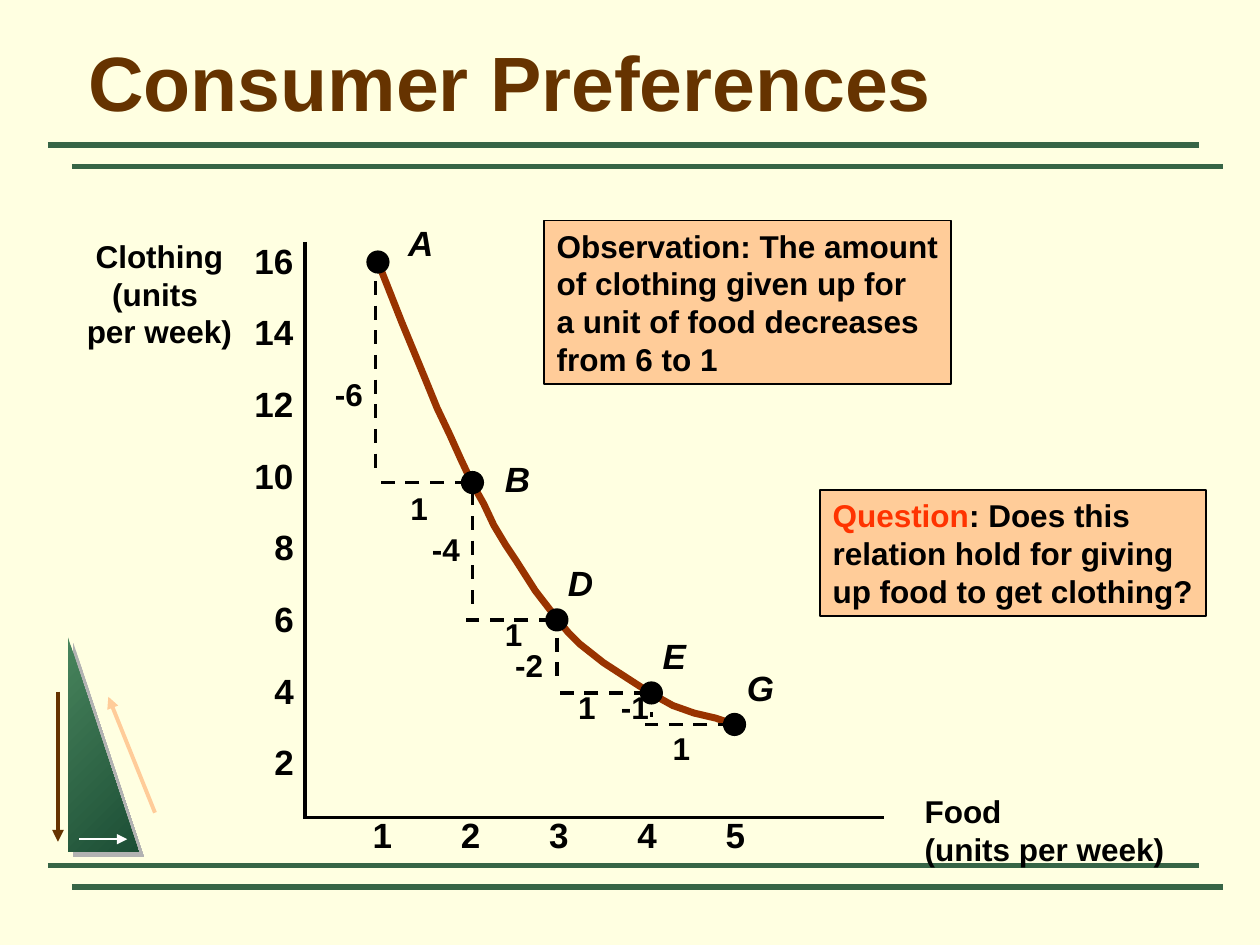
import pptx
import pptx.util
import pptx.dml.color
import pptx.enum.dml
import pptx.enum.shapes
import pptx.enum.text
import pptx.oxml
import pptx.oxml.ns

Inch, Pt = pptx.util.Inches, pptx.util.Pt
Shape = pptx.enum.shapes.MSO_SHAPE
Align = pptx.enum.text.PP_ALIGN
Fit = pptx.enum.text.MSO_AUTO_SIZE

# Content
HUES = {"paper": "FFFFE1", "rule": "376546", "title": "663300", "curve": "993300",
        "box": "FFCC99", "ask": "FF3300", "ink": "000000", "white": "FFFFFF",
        "light": "48845C", "dark": "1C4E35", "shade": "B2B2B2"}
TITLE = "Consumer Preferences"
# Basket: name, dot centre, label corner and width
DOTS = [("A", 3.0, 2.08, 3.14, 1.71, 0.4), ("B", 3.75, 3.83, 3.91, 3.58, 0.4),
        ("D", 4.42, 4.92, 4.41, 4.41, 0.4), ("E", 5.17, 5.5, 5.16, 4.99, 0.38),
        ("G", 5.83, 5.75, 5.83, 5.24, 0.41)]
CURVE = [(3, 2.08), (3.19, 2.56), (3.38, 3.02), (3.47, 3.24), (3.57, 3.45),
         (3.66, 3.65), (3.75, 3.84), (3.84, 4), (3.92, 4.17), (4.01, 4.32),
         (4.09, 4.44), (4.25, 4.69), (4.42, 4.91), (4.51, 5.02), (4.6, 5.11),
         (4.79, 5.26), (4.99, 5.39), (5.16, 5.5), (5.34, 5.6), (5.51, 5.66),
         (5.68, 5.7), (5.83, 5.75)]
# Each step: drop (x, top, end), run (y, right, left), then the two labels
STEPS = [((2.98, 2.23, 3.78), (3.83, 3.72, 3.01), ("-6", 2.56, 2.93), ("1", 3.16, 3.83)),
         ((3.75, 3.9, 4.86), (4.92, 4.39, 3.7), ("-4", 3.33, 4.16), ("1", 3.91, 4.83)),
         ((4.42, 5.06, 5.44), (5.5, 5.14, 4.41), ("-2", 3.99, 5.08), ("1", 4.49, 5.41)),
         ((5.17, 5.65, 5.69), (5.75, 5.81, 5.12), ("-1", 4.83, 5.41), ("1", 5.24, 5.74))]
NOTES = [((4.32, 1.75, 3.23, 1.3),
          ["Observation: The amount", "of clothing given up for",
           "a unit of food decreases", "from 6 to 1"]),
         ((6.51, 3.89, 3.06, 1),
          [[("Question", "ask"), (": Does this", "ink")],
           "relation hold for giving", "up food to get clothing?"])]
AXES = [((7.24, 6.24, 2.1, 0.7), ["Food", "(units per week)"], Align.LEFT),
        ((0.59, 1.83, 1.35, 1), ["Clothing", "(units ", "per week)"], Align.CENTER)]
ARROWS = [((0.46, 5.49, 0.46, 6.68), "title", 2.25),
          ((1.23, 6.45, 0.86, 5.53), "box", 2.25),
          ((0.63, 6.66, 1.01, 6.66), "white", 1.5)]

deck = pptx.Presentation()
deck.slide_width, deck.slide_height = Inch(10), Inch(7.5)
page = deck.slides.add_slide(deck.slide_layouts[5])
parts = page.shapes


def hue(name):
    return pptx.dml.color.RGBColor.from_string(HUES[name])


def write(frame, lines, size, color="ink", align=Align.LEFT, slant=None):
    for i, line in enumerate(lines):
        para = frame.paragraphs[0] if i == 0 else frame.add_paragraph()
        runs = [(line, color)] if isinstance(line, str) else line
        for text, tint in runs:
            run = para.add_run()
            run.text = text
            run.font.color.rgb = hue(tint)
        para.alignment = align
        font = para.font
        font.name, font.size, font.bold, font.italic = "Arial", Pt(size), True, slant


def label(box, lines, size, **style):
    frame = parts.add_textbox(*map(Inch, box)).text_frame
    frame.word_wrap = False
    frame.auto_size = Fit.SHAPE_TO_FIT_TEXT
    write(frame, lines, size, **style)


def solid(kind, box, fill):
    shape = parts.add_shape(kind, *map(Inch, box))
    shape.shadow.inherit = False
    shape.fill.solid()
    shape.fill.fore_color.rgb = hue(fill)
    shape.line.color.rgb = hue("ink")
    shape.line.width = Pt(1)
    return shape


def line(ends, color, width, dash=False, arrow=False):
    link = parts.add_connector(pptx.enum.shapes.MSO_CONNECTOR.STRAIGHT, *map(Inch, ends))
    link.line.color.rgb = hue(color)
    link.line.width = Pt(width)
    if dash:
        link.line.dash_style = pptx.enum.dml.MSO_LINE.DASH
    if arrow:
        stroke = link.line._get_or_add_ln()
        stroke.append(pptx.oxml.parse_xml(
            f'<a:tailEnd {pptx.oxml.ns.nsdecls("a")} type="triangle"/>'))
    link._element.spPr.append(pptx.oxml.parse_xml(
        f'<a:effectLst {pptx.oxml.ns.nsdecls("a")}/>'))


# Background, title and paired rules
page.background.fill.solid()
page.background.fill.fore_color.rgb = hue("paper")
head = parts.title
head.left, head.top, head.width, head.height = map(Inch, (0.6, 0.21, 8.73, 0.85))
head.text_frame.auto_size = Fit.NONE
head.text_frame.vertical_anchor = pptx.enum.text.MSO_ANCHOR.BOTTOM
write(head.text_frame, [TITLE], 44, "title")
for top in (1.15, 6.87):
    for left, drop in ((0.38, 0), (0.57, 0.17)):
        line((left, top + drop, left + 9.14, top + drop), "rule", 3)

# Corner triangle with its arrows
wedge = parts.add_shape(Shape.RIGHT_TRIANGLE, *map(Inch, (0.54, 5.06, 0.56, 1.7)))
wedge.line.fill.background()
wedge.fill.gradient()
wedge.fill.gradient_angle = 315
for stop, name in zip(wedge.fill.gradient_stops, ("light", "dark")):
    stop.color.rgb = hue(name)
wedge._element.spPr.append(pptx.oxml.parse_xml(
    f'<a:effectLst {pptx.oxml.ns.nsdecls("a")}>'
    f'<a:outerShdw dist="{Pt(4.2)}" dir="2700000" algn="ctr" rotWithShape="0">'
    f'<a:srgbClr val="{HUES["shade"]}"/></a:outerShdw></a:effectLst>'))
for ends, color, width in ARROWS:
    line(ends, color, width, arrow=True)

# Indifference curve
grid = [(round(x * 100), round(y * 100)) for x, y in CURVE]
pen = parts.build_freeform(*grid[0], scale=Inch(0.01))
pen.add_line_segments(grid[1:], close=False)
curve = pen.convert_to_shape()
curve.shadow.inherit = False
curve.fill.background()
curve.line.color.rgb = hue("curve")
curve.line.width = Pt(4)

# Dashed steps and their amounts
for (x, top, end), (y, right, left), *amounts in STEPS:
    line((x, top, x, end), "ink", 2, dash=True)
    line((right, y, left, y), "ink", 2, dash=True)
    for text, at, high in amounts:
        label((at, high, 0.26 + 0.08 * len(text), 0.4), [text], 18)

# Baskets
for name, x, y, left, top, wide in DOTS:
    solid(Shape.OVAL, (x - 0.085, y - 0.085, 0.17, 0.17), "ink")
    label((left, top, wide, 0.43), [name], 20, slant=True)

# Axes, scales and axis names
line((2.42, 1.92, 2.42, 6.5), "ink", 2)
line((2.43, 6.49, 7.02, 6.49), "ink", 2)
for i in range(5):
    label((2.86 + 0.7 * i, 6.41, 0.35, 0.43), [str(i + 1)], 20)
for i in range(8):
    text = str(16 - 2 * i)
    wide = 0.19 + 0.16 * len(text)
    label((2.43 - wide, 1.85 + 3.98 / 7 * i, wide, 0.43), [text], 20)
for box, lines, align in AXES:
    label(box, lines, 18, align=align)

# Notes
for box, lines in NOTES:
    frame = solid(Shape.RECTANGLE, box, "box").text_frame
    frame.word_wrap = False
    frame.auto_size = Fit.SHAPE_TO_FIT_TEXT
    frame.vertical_anchor = pptx.enum.text.MSO_ANCHOR.TOP
    write(frame, lines, 18)

deck.save("out.pptx")
